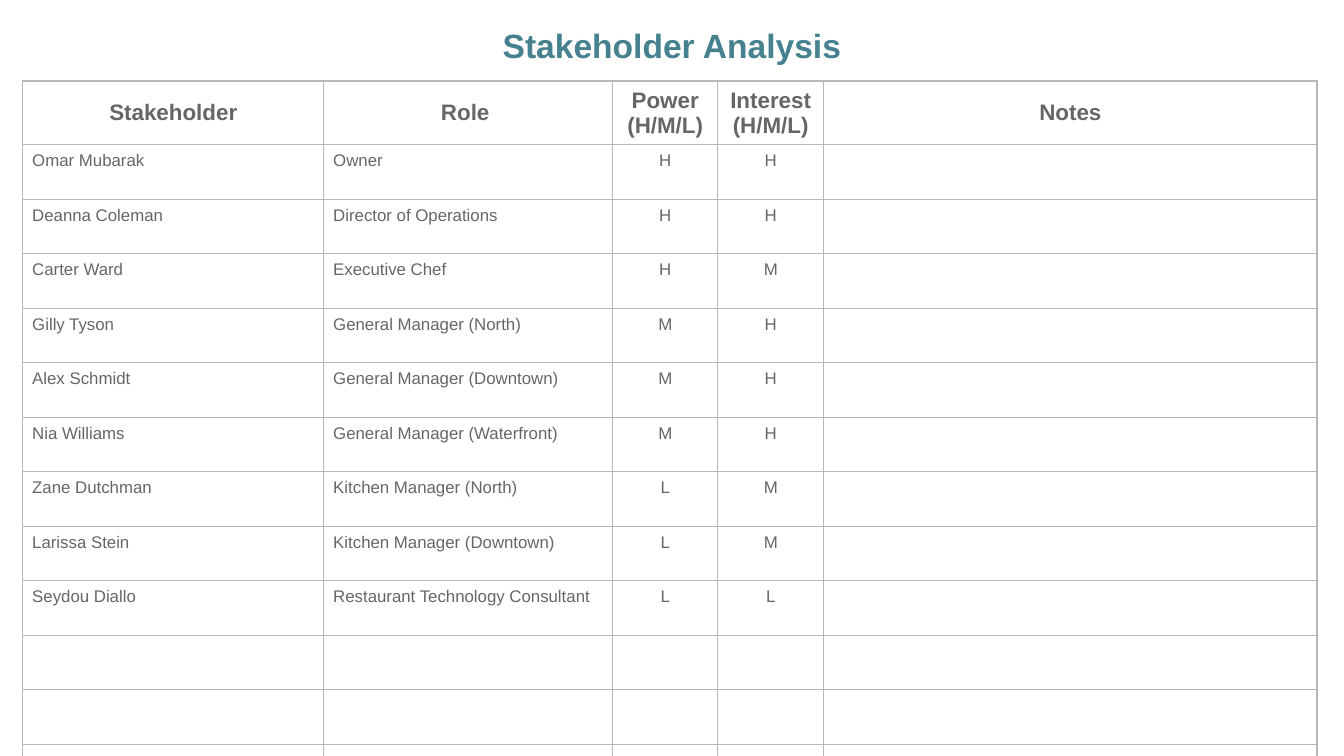
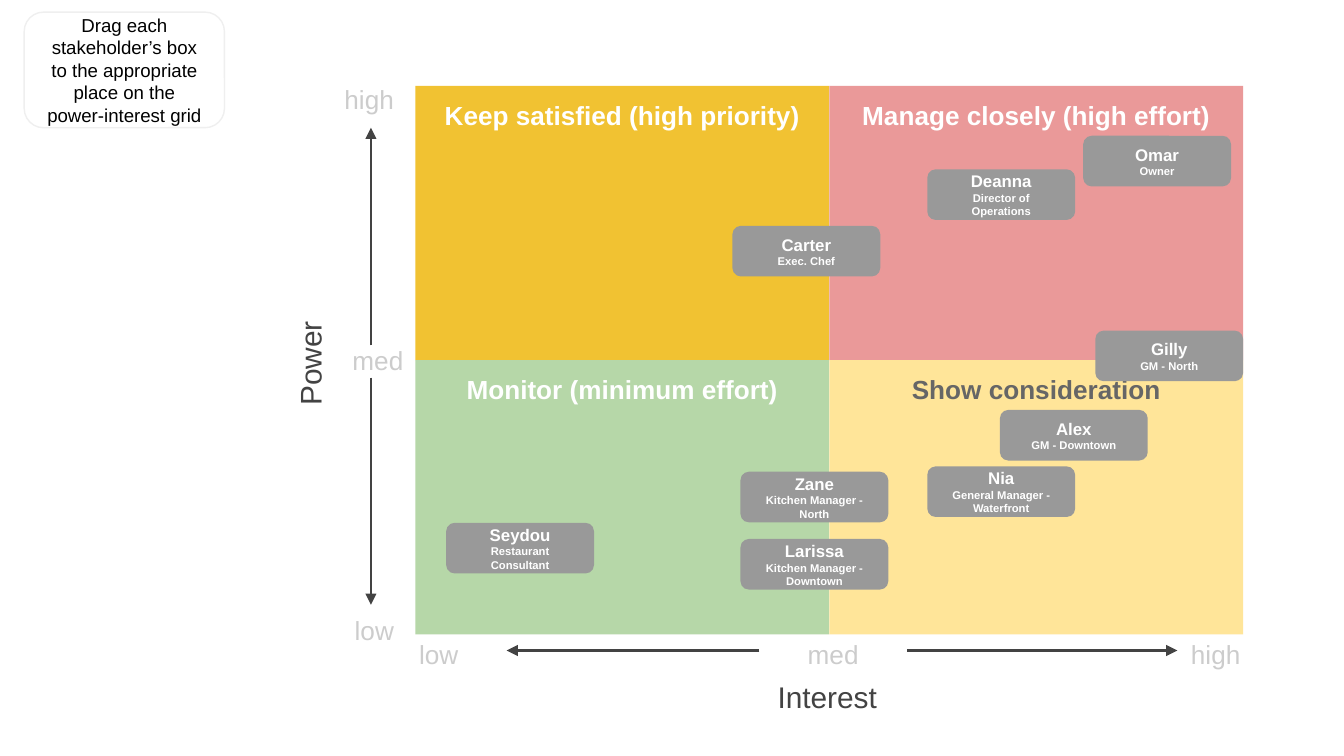
from lxml.etree import SubElement
from pptx import Presentation
from pptx.dml.color import RGBColor
from pptx.enum.shapes import MSO_CONNECTOR as Connector, MSO_SHAPE as Shape
from pptx.enum.text import MSO_ANCHOR as Anchor, PP_ALIGN as Align
from pptx.oxml.ns import qn
from pptx.util import Inches, Pt

SLIDE_W, SLIDE_H = Inches(10), Inches(5.625)
FONT = "Arial"
WHITE, BLACK = "FFFFFF", "000000"
TEAL, TEXT_GREY, AXIS_GREY = "45818E", "666666", "434343"
SCALE_GREY, CARD_GREY, BORDER_GREY, NOTE_GREY = "CCCCCC", "999999", "B7B7B7", "EFEFEF"

HEADERS = ["Stakeholder", "Role ", "Power (H/M/L)", "Interest (H/M/L)", "Notes"]
COLUMN_SHARES = [22.4, 21.5, 7.8, 7.9, 36.7]
HEADER_SHARE, ROW_SHARE, SPARE_ROWS = 5, 6.4, 3
STAKEHOLDERS = [
    ("Omar Mubarak", "Owner", "H", "H"),
    ("Deanna Coleman", "Director of Operations", "H", "H"),
    ("Carter Ward", "Executive Chef", "H", "M"),
    ("Gilly Tyson", "General Manager (North)", "M", "H"),
    ("Alex Schmidt", "General Manager (Downtown)", "M", "H"),
    ("Nia Williams", "General Manager (Waterfront)", "M", "H"),
    ("Zane Dutchman", "Kitchen Manager (North)", "L", "M"),
    ("Larissa Stein", "Kitchen Manager (Downtown)", "L", "M"),
    ("Seydou Diallo", "Restaurant Technology Consultant", "L", "L"),
]

GRID_X, GRID_Y, QUADRANT_W, QUADRANT_H = 30.9, 11.38, 30.8, 36.27
QUADRANTS = [
    ("Keep satisfied (high priority)", "F1C232", WHITE),
    ("Manage closely (high effort)", "EA9999", WHITE),
    ("Monitor (minimum effort)", "B6D7A8", WHITE),
    ("Show consideration", "FFE599", TEXT_GREY),
]
CARD_W, CARD_H = 11, 6.7
CARDS = [
    ("Omar", "Owner", 80.6, 17.96),
    ("Deanna", "Director of Operations", 69, 22.4),
    ("Carter", "Exec. Chef", 54.5, 29.87),
    ("Gilly", "GM - North", 81.5, 43.73),
    ("Alex", "GM - Downtown", 74.4, 54.22),
    ("Zane", "Kitchen Manager - North", 55.1, 62.4),
    ("Larissa", "Kitchen Manager - Downtown", 55.1, 71.29),
    ("Seydou", "Restaurant Consultant", 33.2, 69.16),
    ("Nia", "General Manager - Waterfront", 69, 61.69),
]


def color(hex_string):
    return RGBColor.from_string(hex_string)


def across(share):
    return round(SLIDE_W * share / 100)


def down(share):
    return round(SLIDE_H * share / 100)


def place(x, y, w, h):
    return across(x), down(y), across(w), down(h)


def style(paragraph, size, hue, bold=False, align=Align.CENTER):
    paragraph.alignment = align
    font = paragraph.font
    font.name, font.size, font.bold = FONT, Pt(size), bold
    font.color.rgb = color(hue)


def write(frame, lines, hue, bold=False, align=Align.CENTER, anchor=Anchor.TOP):
    frame.word_wrap = True
    frame.vertical_anchor = anchor
    frame.margin_left = frame.margin_right = Inches(0.1)
    frame.margin_top = frame.margin_bottom = Inches(0.1)
    for index, (text, size) in enumerate(lines):
        paragraph = frame.add_paragraph() if index else frame.paragraphs[0]
        paragraph.text = text
        style(paragraph, size, hue, bold, align)


def add_label(slide, text, box, size, hue, **options):
    label = slide.shapes.add_textbox(*place(*box))
    write(label.text_frame, [(text, size)], hue, **options)
    return label


def add_panel(slide, kind, box, lines, hue, fill=None, outline=None, **options):
    panel = slide.shapes.add_shape(kind, *place(*box))
    panel.shadow.inherit = False
    if fill:
        panel.fill.solid()
        panel.fill.fore_color.rgb = color(fill)
    else:
        panel.fill.background()
    if outline:
        panel.line.color.rgb = color(outline)
        panel.line.width = Pt(0.75)
    else:
        panel.line.fill.background()
    write(panel.text_frame, lines, hue, **options)


def add_arrow(slide, x1, y1, x2, y2):
    arrow = slide.shapes.add_connector(
        Connector.STRAIGHT, across(x1), down(y1), across(x2), down(y2))
    arrow.line.color.rgb = color(AXIS_GREY)
    arrow.line.width = Pt(1.5)
    SubElement(arrow.line._get_or_add_ln(), qn("a:tailEnd"), type="triangle")
    SubElement(arrow._element.spPr, qn("a:effectLst"))
    return arrow


def add_borders(cell):
    properties = cell._tc.get_or_add_tcPr()
    for position, side in enumerate(("a:lnL", "a:lnR", "a:lnT", "a:lnB")):
        border = SubElement(properties, qn(side), w=str(Pt(0.75)))
        fill = SubElement(border, qn("a:solidFill"))
        SubElement(fill, qn("a:srgbClr"), val=BORDER_GREY)
        properties.remove(border)
        properties.insert(position, border)


def add_stakeholder_table(slide):
    rows = [HEADERS, *STAKEHOLDERS] + [()] * SPARE_ROWS
    height = HEADER_SHARE + ROW_SHARE * (len(rows) - 1)
    table = slide.shapes.add_table(
        len(rows), len(HEADERS),
        *place(1.7, 10.72, sum(COLUMN_SHARES), height)).table
    table.first_row = table.horz_banding = False
    for column, share in zip(table.columns, COLUMN_SHARES):
        column.width = across(share)
    for r, texts in enumerate(rows):
        header = r == 0
        table.rows[r].height = down(ROW_SHARE if r else HEADER_SHARE)
        for c in range(len(HEADERS)):
            cell = table.cell(r, c)
            cell.margin_left = cell.margin_right = Inches(0.07)
            cell.margin_top = cell.margin_bottom = Inches(0.05)
            cell.vertical_anchor = Anchor.MIDDLE if header else Anchor.TOP
            cell.fill.background()
            add_borders(cell)
            if c < len(texts):
                cell.text = texts[c]
                align = Align.CENTER if header or c > 1 else Align.LEFT
                style(cell.text_frame.paragraphs[0], 12 if header else 9,
                      TEXT_GREY, header, align)


def add_quadrants(slide):
    for index, (text, fill, hue) in enumerate(QUADRANTS):
        row, column = divmod(index, 2)
        box = (GRID_X + column * QUADRANT_W, GRID_Y + row * QUADRANT_H,
               QUADRANT_W, QUADRANT_H)
        add_panel(slide, Shape.RECTANGLE, box, [(text, 14)], hue, fill, bold=True)


def add_power_axis(slide):
    power = add_label(slide, "Power", (13.9, 44.98, 18.3, 6.22), 16, AXIS_GREY,
                      anchor=Anchor.MIDDLE)
    power.rotation = 270
    for text, box in (("high", (17, 9.24, 13.3, 4.62)),
                      ("med", (24.2, 43.73, 6.8, 7.82)),
                      ("low", (17, 79.47, 13.3, 4.62))):
        add_label(slide, text, box, 14, SCALE_GREY, align=Align.RIGHT)
    add_arrow(slide, 27.6, 45.69, 27.6, 16.89)
    add_arrow(slide, 27.6, 49.96, 27.6, 80)


def add_interest_axis(slide):
    low, med, high = [
        add_label(slide, text, (x, 82.67, w, 6.76), 14, SCALE_GREY)
        for text, x, w in (("low", 27.6, 10.1), ("med", 56.5, 11), ("high", 85.4, 10.1))]
    to_high = add_arrow(slide, 67.5, 86.05, 87.6, 86.05)
    to_high.begin_connect(med, 3)
    to_low = add_arrow(slide, 56.5, 86.05, 37.7, 86.05)
    to_low.begin_connect(med, 1)
    to_low.end_connect(low, 3)
    add_label(slide, "Interest", (54.1, 88, 14.9, 8.36), 16, AXIS_GREY)


def add_cards(slide):
    for name, role, x, y in CARDS:
        add_panel(slide, Shape.ROUNDED_RECTANGLE, (x, y, CARD_W, CARD_H),
                  [(name, 9), (role, 6)], WHITE, CARD_GREY,
                  bold=True, anchor=Anchor.MIDDLE)


def build_analysis(slide):
    add_stakeholder_table(slide)
    title = add_label(slide, "Stakeholder Analysis", (8.3, 0.71, 83.4, 8.89),
                      18, TEAL, bold=True)
    title.text_frame.paragraphs[0].line_spacing = 1.15


def build_power_interest_grid(slide):
    add_quadrants(slide)
    add_power_axis(slide)
    add_interest_axis(slide)
    instruction = ("Drag each stakeholder’s box to the appropriate place "
                   "on the power-interest grid")
    add_panel(slide, Shape.ROUNDED_RECTANGLE, (1.8, 1.6, 14.9, 15.29),
              [(instruction, 10)], BLACK, outline=NOTE_GREY, anchor=Anchor.MIDDLE)
    add_cards(slide)


def main():
    deck = Presentation()
    deck.slide_width, deck.slide_height = SLIDE_W, SLIDE_H
    for build in (build_analysis, build_power_interest_grid):
        slide = deck.slides.add_slide(deck.slide_layouts[6])
        slide.background.fill.solid()
        slide.background.fill.fore_color.rgb = color(WHITE)
        build(slide)
    deck.save("out.pptx")


if __name__ == "__main__":
    main()
